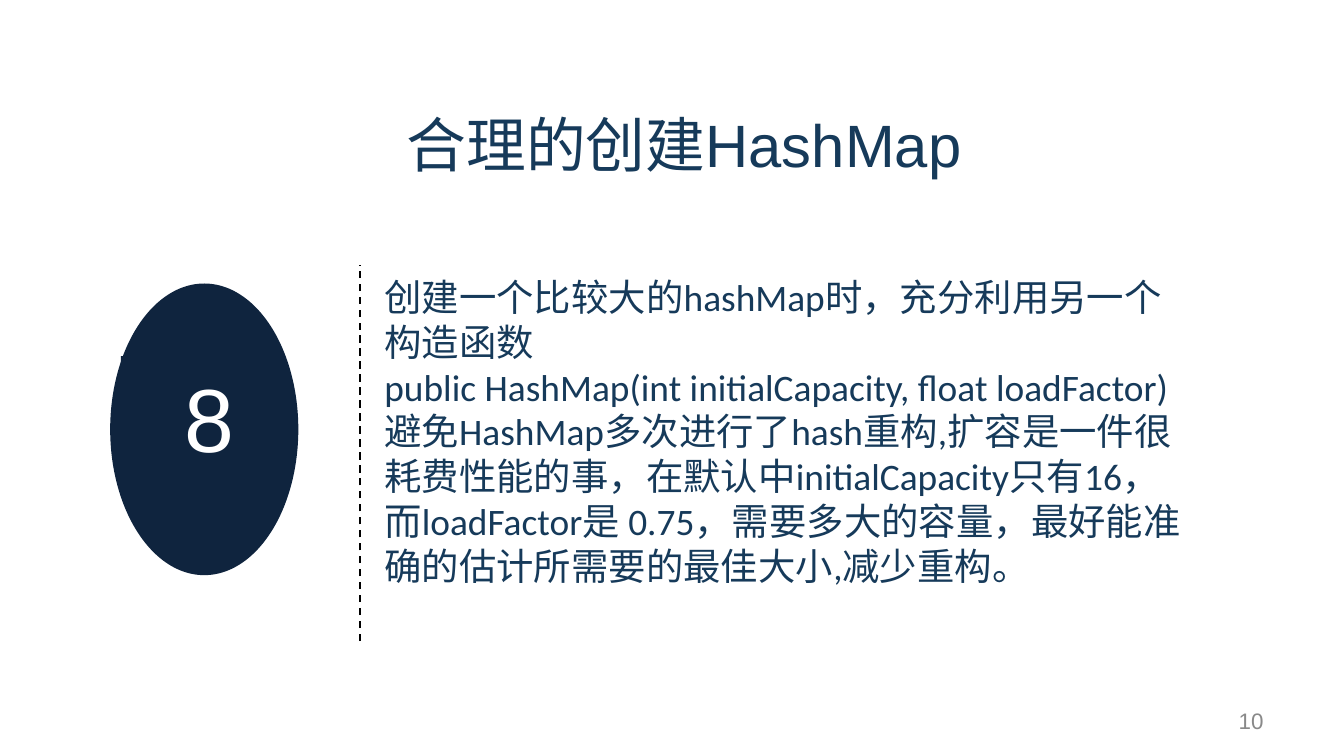
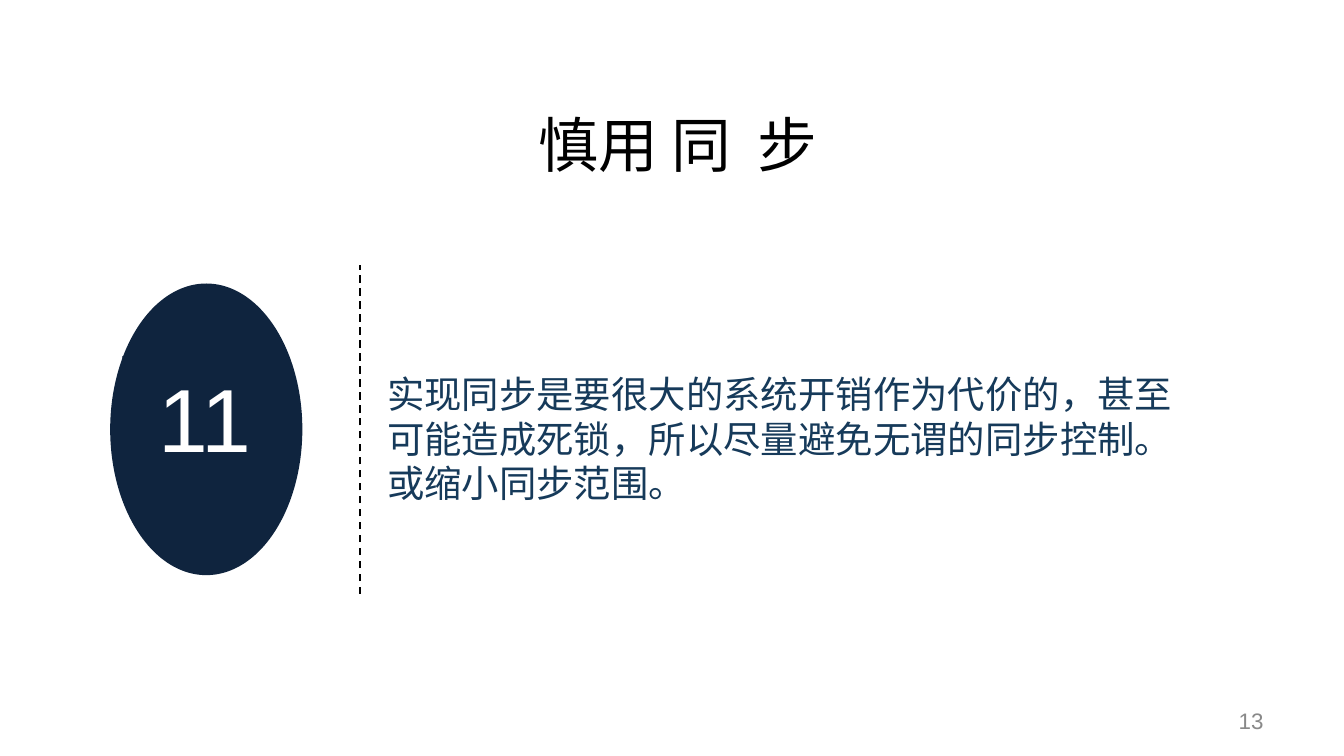
"""Builds two numbered Java performance tip slides."""
from lxml import etree
from pptx import Presentation
from pptx.dml.color import RGBColor
from pptx.enum import dml, shapes, text
from pptx.oxml import ns
from pptx.util import Inches, Pt

NAVY = RGBColor(0x0F, 0x24, 0x3E)
BLUE = RGBColor(0x16, 0x3A, 0x5A)
BLACK = RGBColor(0, 0, 0)
WHITE = RGBColor(255, 255, 255)
GREY = RGBColor(0x89, 0x89, 0x89)

WIDTH = 10
HEIGHT = WIDTH * 9 / 16
INSET = 0.1
TITLE_BOX = (2.15, 0.75, 5.79, 0.64)
PAGE_BOX = (7.17, 5.21, 2.33, 0.3)
OVAL_LEFT, OVAL_TOP, OVAL_HEIGHT = 0.82, 2.11, 2.17
RULE_X, RULE_TOP = 2.68, 1.97

TIPS = [
    dict(
        title="合理的创建HashMap", title_font="Arial", title_color=BLUE, title_indent=0.09,
        number="8", number_indent=0.37, number_box=(0.9, 2.65, 1.15, 0.9), oval_width=1.4,
        rule_bottom=4.77, page="10", advice_box=(2.76, 1.99, 6.19, 2.77),
        advice=[
            "创建一个比较大的hashMap时，充分利用另一个构造函数",
            "public HashMap(int initialCapacity, float loadFactor)",
            "避免HashMap多次进行了hash重构,扩容是一件很耗费性能的事，"
            "在默认中initialCapacity只有16，而loadFactor是 0.75，"
            "需要多大的容量，最好能准确的估计所需要的最佳大小,减少重构。",
        ],
    ),
    dict(
        title="慎用 同  步", title_font="Calibri", title_color=BLACK, title_indent=0,
        number="11", number_indent=0.17, number_box=(0.91, 2.65, 1.18, 0.9), oval_width=1.43,
        rule_bottom=4.42, page="13", advice_box=(2.78, 2.71, 6.18, 1.1),
        advice=[
            "实现同步是要很大的系统开销作为代价的，甚至可能造成死锁，"
            "所以尽量避免无谓的同步控制。",
            "或缩小同步范围。",
        ],
    ),
]


def inches(box):
    return [Inches(length) for length in box]


def place(holder, box):
    holder.left, holder.top, holder.width, holder.height = inches(box)


def write(holder, paragraphs, font, size, color, align=text.PP_ALIGN.LEFT,
          anchor=text.MSO_ANCHOR.TOP, indent=0):
    frame = holder.text_frame
    frame.word_wrap = True
    frame.auto_size = text.MSO_AUTO_SIZE.NONE
    frame.vertical_anchor = anchor
    frame.margin_left, frame.margin_right = Inches(INSET + indent), Inches(INSET)
    frame.margin_top = frame.margin_bottom = Inches(INSET / 2)
    for index, words in enumerate(paragraphs):
        paragraph = frame.add_paragraph() if index else frame.paragraphs[0]
        properties = paragraph._p.get_or_add_pPr()
        properties.set("marL", "0")
        properties.set("indent", "0")
        etree.SubElement(properties, ns.qn("a:buNone"))
        paragraph.alignment = align
        paragraph.space_before = Pt(0)
        run = paragraph.add_run()
        run.text = words
        run.font.name, run.font.size = font, Pt(size)
        run.font.color.rgb = color


def add_badge(slide, tip):
    badge = slide.shapes.add_group_shape()
    oval_box = (OVAL_LEFT, OVAL_TOP, tip["oval_width"], OVAL_HEIGHT)
    for preset, box in ((shapes.MSO_SHAPE.OVAL, oval_box),
                        (shapes.MSO_SHAPE.RECTANGLE, tip["number_box"])):
        part = badge.shapes.add_shape(preset, *inches(box))
        part.shadow.inherit = False
        part.fill.solid()
        part.fill.fore_color.rgb = NAVY
        part.line.fill.background()
    write(part, [tip["number"]], "Arial", 48, WHITE, indent=tip["number_indent"])


def add_rule(slide, bottom):
    rule = slide.shapes.add_connector(
        shapes.MSO_CONNECTOR.STRAIGHT, *inches((RULE_X, bottom, RULE_X, RULE_TOP)))
    rule.line.color.rgb = BLACK
    rule.line.width = Pt(1)
    rule.line.dash_style = dml.MSO_LINE.DASH
    etree.SubElement(rule._element.spPr, ns.qn("a:effectLst"))


def add_tip(deck, tip):
    slide = deck.slides.add_slide(deck.slide_layouts[1])
    title, advice = slide.placeholders
    place(title, TITLE_BOX)
    write(title, [tip["title"]], tip["title_font"], 32, tip["title_color"],
          text.PP_ALIGN.CENTER, indent=tip["title_indent"])
    place(advice, tip["advice_box"])
    write(advice, tip["advice"], "Calibri", 20, BLUE)
    add_rule(slide, tip["rule_bottom"])
    add_badge(slide, tip)
    page = slide.shapes.add_textbox(*inches(PAGE_BOX))
    write(page, [tip["page"]], "Arial", 12, GREY,
          text.PP_ALIGN.RIGHT, text.MSO_ANCHOR.MIDDLE)


def main():
    deck = Presentation()
    deck.slide_width, deck.slide_height = inches((WIDTH, HEIGHT))
    for tip in TIPS:
        add_tip(deck, tip)
    deck.save("out.pptx")


if __name__ == "__main__":
    main()
